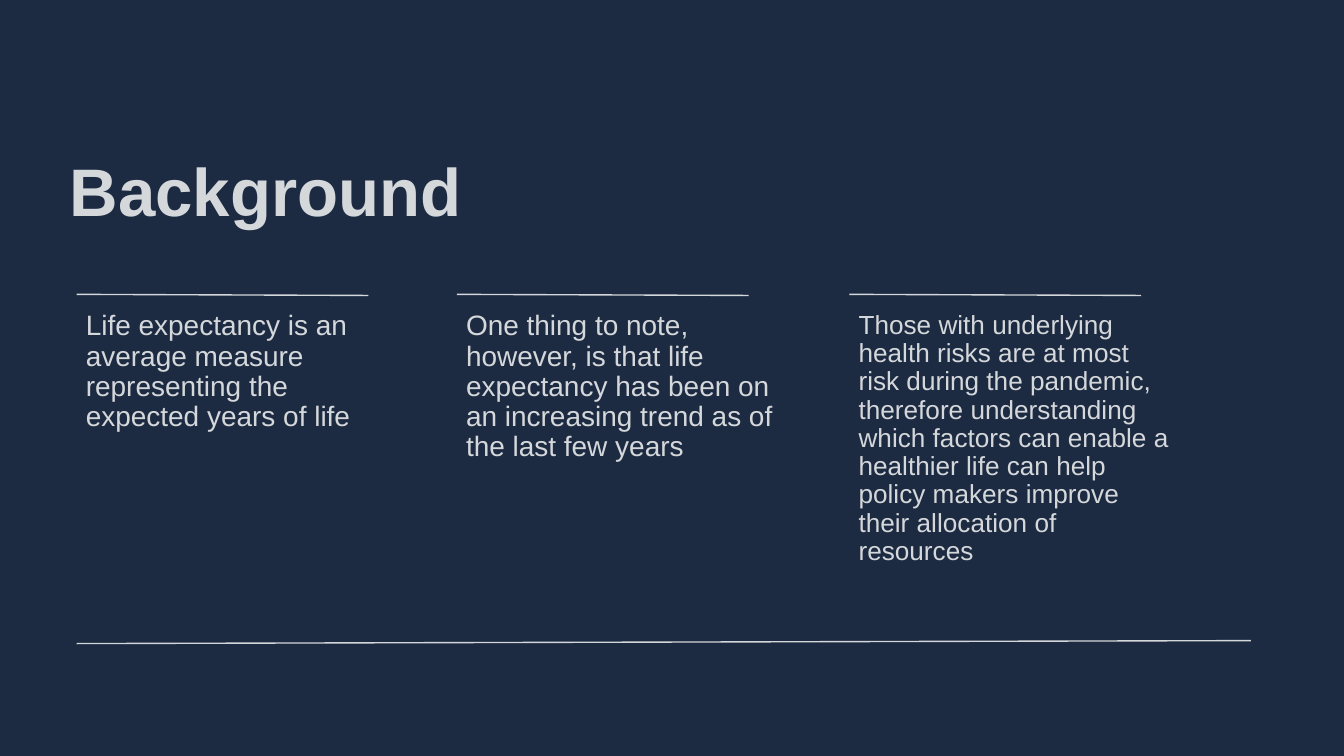
from dataclasses import dataclass

from lxml import etree
from pptx import Presentation
from pptx.dml.color import RGBColor
from pptx.enum.shapes import MSO_CONNECTOR
from pptx.enum.text import MSO_ANCHOR
from pptx.oxml.ns import qn
from pptx.util import Pt

STRAIGHT = MSO_CONNECTOR.STRAIGHT
TOP, BOTTOM = MSO_ANCHOR.TOP, MSO_ANCHOR.BOTTOM


@dataclass(frozen=True)
class Theme:
    """Colours, font and sizes of the deck."""
    navy: RGBColor = RGBColor(0x1D, 0x2B, 0x42)
    silver: RGBColor = RGBColor(0xD5, 0xD8, 0xDB)
    font: str = "Arial"
    title: float = 36
    body: float = 15
    dense: float = 14
    rule: float = 0.75
    inset: float = 7.2


THEME = Theme()
COLUMNS = (
    (38.9, THEME.body,
     "Life expectancy is an average measure representing the expected years of life"),
    (242.6, THEME.body,
     "One thing to note, however, is that life expectancy has been on an increasing "
     "trend as of the last few years"),
    (452.9, THEME.dense,
     "Those with underlying health risks are at most risk during the pandemic, "
     "therefore understanding which factors can enable a healthier life can help "
     "policy makers improve their allocation of resources"),
)


def add_text(page, box, text, size, anchor=TOP, bold=False, spacing=1.0):
    """Place one paragraph of text in the box."""
    frame = page.shapes.add_textbox(*map(Pt, box)).text_frame
    frame.word_wrap = True
    frame.vertical_anchor = anchor
    frame.margin_left = frame.margin_right = Pt(THEME.inset)
    frame.margin_top = frame.margin_bottom = Pt(THEME.inset)
    para = frame.paragraphs[0]
    para.text = text
    para.line_spacing = spacing
    para.font.name = THEME.font
    para.font.size = Pt(size)
    para.font.bold = bold
    para.font.color.rgb = THEME.silver


def add_rule(page, left, top, width, rise):
    """Draw a thin line that climbs by the given rise."""
    rule = page.shapes.add_connector(
        STRAIGHT, Pt(left), Pt(top), Pt(left + width), Pt(top - rise))
    rule.line.color.rgb = THEME.silver
    rule.line.width = Pt(THEME.rule)
    etree.SubElement(rule.element.spPr, qn("a:effectLst"))


def add_column(page, box, text, size):
    """Place a column of text under its rule."""
    left, top, width, height = box
    add_rule(page, left + 2.2, top - 2.1, width - 26, -0.6)
    add_text(page, box, text, size, spacing=0.9)


def add_background_page(deck):
    """Build the page with a title, three columns and a closing rule."""
    page = deck.slides.add_slide(deck.slide_layouts[6])
    page.background.fill.solid()
    page.background.fill.fore_color.rgb = THEME.navy
    add_text(page, (30.2, 71.3, 367, 59), "Background", THEME.title, BOTTOM, True)
    for left, size, text in COLUMNS:
        add_column(page, (left, 159.8, 182.2, 149.8), text, size)
    add_rule(page, 41.1, 344.8, 629, 1.6)


def main():
    """Create and save the deck."""
    deck = Presentation()
    deck.slide_width, deck.slide_height = Pt(720), Pt(405)
    add_background_page(deck)
    deck.save("out.pptx")


if __name__ == "__main__":
    main()
